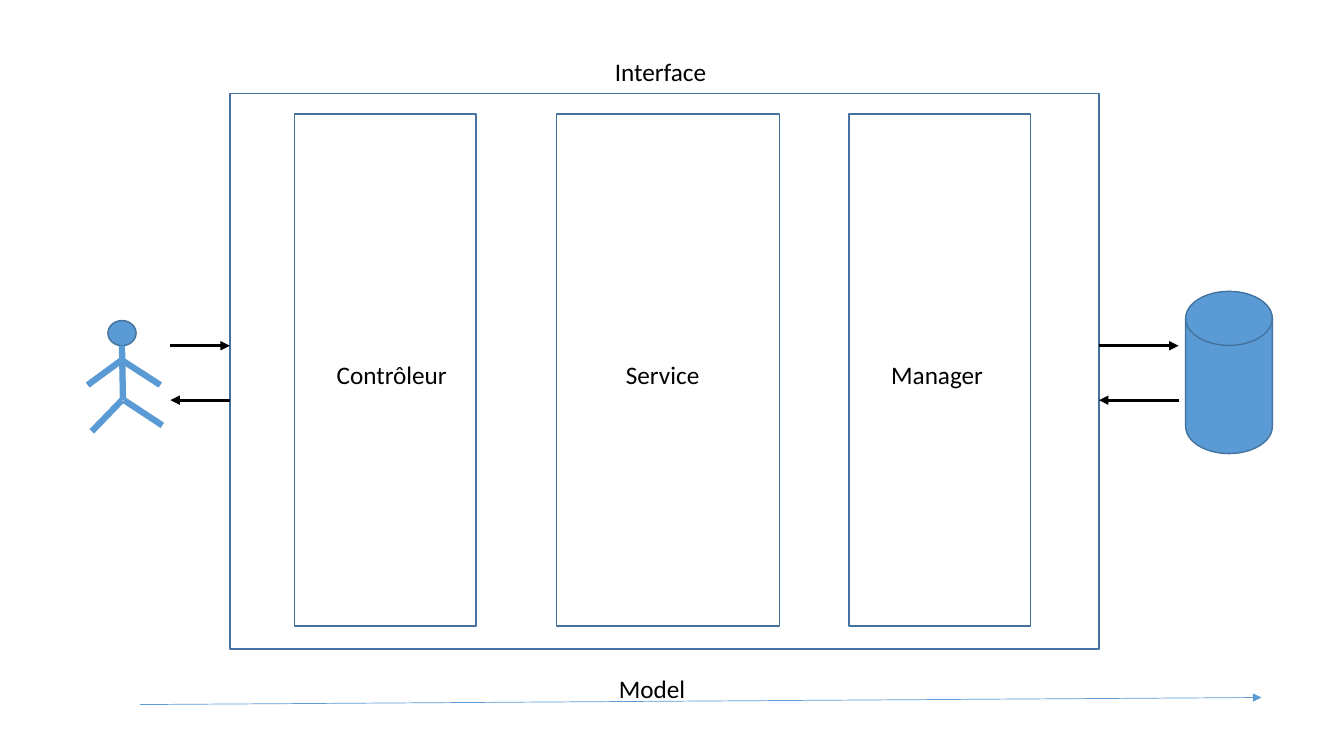
from pptx import Presentation
from pptx.dml.color import RGBColor
from pptx.enum.shapes import MSO_CONNECTOR, MSO_SHAPE
from pptx.enum.text import MSO_AUTO_SIZE
from pptx.oxml.ns import qn
from pptx.util import Inches, Pt
from lxml import etree

STRAIGHT = MSO_CONNECTOR.STRAIGHT
RECTANGLE = MSO_SHAPE.RECTANGLE
OVAL = MSO_SHAPE.OVAL
DISK = MSO_SHAPE.FLOWCHART_MAGNETIC_DISK
FIT_TEXT = MSO_AUTO_SIZE.SHAPE_TO_FIT_TEXT

BLUE, OUTLINE, BLACK = "5B9BD5", "43739E", "000000"

prs = Presentation()
prs.slide_width, prs.slide_height = Inches(13.33), Inches(7.5)
slide = prs.slides.add_slide(prs.slide_layouts[6])


def color(hex_code):
    return RGBColor.from_string(hex_code)


def add_label(text, left, top, width, height=0.4, size=18, font="Calibri", ink=BLACK):
    label = slide.shapes.add_textbox(*map(Inches, (left, top, width, height)))
    label.text_frame.word_wrap = False
    label.text_frame.auto_size = FIT_TEXT
    run = label.text_frame.paragraphs[0].add_run()
    run.text = text
    run.font.size, run.font.name = Pt(size), font
    run.font.color.rgb = color(ink)


# Outlined shapes: user's head, database, interface frame and its layers
user = slide.shapes.add_group_shape()
layer_top, layer_height = 1.13, 5.08
for parent, preset, box, fill in [
    (user, OVAL, (1.07, 3.18, 0.28, 0.25), BLUE),
    (slide, DISK, (11.76, 2.89, 0.86, 1.61), BLUE),
    (slide, RECTANGLE, (2.28, 0.93, 8.62, 5.51), None),
    (slide, RECTANGLE, (2.92, layer_top, 1.8, layer_height), None),
    (slide, RECTANGLE, (5.52, layer_top, 2.21, layer_height), None),
    (slide, RECTANGLE, (8.42, layer_top, 1.8, layer_height), None),
]:
    shape = parent.shapes.add_shape(preset, *map(Inches, box))
    shape.shadow.inherit = False
    shape.line.color.rgb, shape.line.width = color(OUTLINE), Pt(1)
    if fill:
        shape.fill.solid()
        shape.fill.fore_color.rgb = color(fill)
    else:
        shape.fill.background()

# User's body and limbs, then request, response and model arrows
limbs = [
    (1.21, 3.43, 1.22, 3.97),
    (1.21, 3.57, 0.87, 3.82),
    (1.59, 3.82, 1.22, 3.58),
    (0.91, 4.28, 1.21, 3.97),
    (1.23, 3.97, 1.61, 4.22),
]
request_y, response_y = 3.43, 3.97
exchanges = []
for left, right in [(1.69, 2.28), (10.9, 11.69)]:
    exchanges += [(left, request_y, right, request_y), (right, response_y, left, response_y)]
model_arrow = [(1.39, 6.99, 12.51, 6.92)]

for parent, routes, ink, weight, has_arrow in [
    (user, limbs, BLUE, 4.5, False),
    (slide, exchanges, BLACK, 2.25, True),
    (slide, model_arrow, BLUE, 0.5, True),
]:
    for route in routes:
        link = parent.shapes.add_connector(STRAIGHT, *map(Inches, route))
        link.line.color.rgb, link.line.width = color(ink), Pt(weight)
        if has_arrow:
            etree.SubElement(link.line._get_or_add_ln(), qn("a:tailEnd"), type="triangle")
        etree.SubElement(link._element.spPr, qn("a:effectLst"))

# Labels
add_label("Interface", 6, 0.51, 1.12)
for name, left, width in [("Contrôleur", 3.24, 1.31), ("Service", 6.11, 0.94), ("Manager", 8.74, 1.12)]:
    add_label(name, left, 3.52, width)
add_label("Model", 6.04, 6.63, 0.87)

prs.save("out.pptx")
